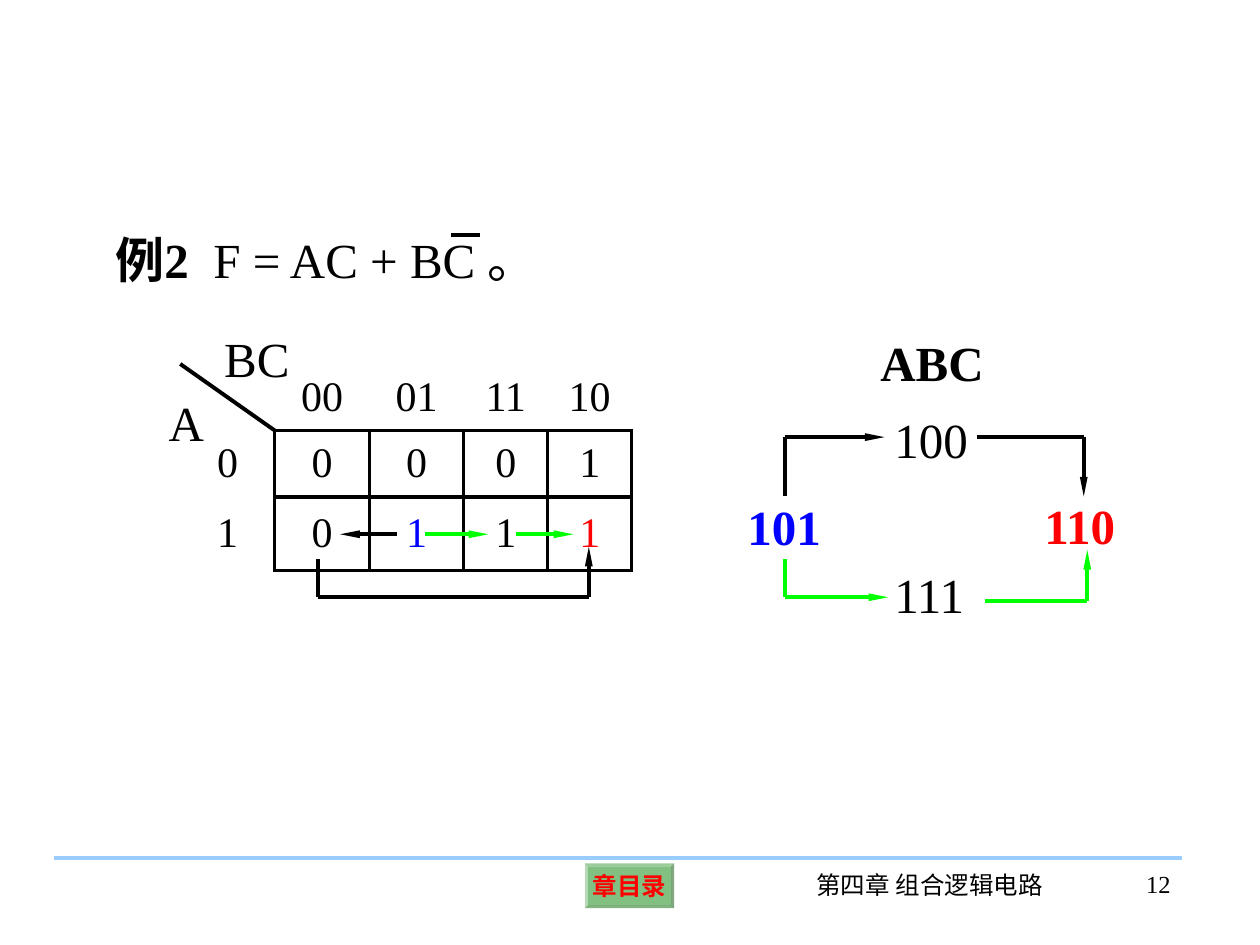
"""Build a slide on hazards in a Karnaugh map, with the paths from 101 to 110."""
from itertools import pairwise

from lxml.etree import SubElement
from pptx import Presentation
from pptx.dml.color import RGBColor as RGB
from pptx.enum.shapes import MSO_CONNECTOR as Link, MSO_SHAPE as Form
from pptx.enum.text import MSO_ANCHOR as Anchor, PP_ALIGN as Align
from pptx.oxml.ns import qn
from pptx.util import Pt

BLACK = RGB(0, 0, 0)
RED = RGB(0xFF, 0, 0)
BLUE = RGB(0, 0, 0xFF)
LIME = RGB(0, 0xFF, 0)
GREEN = RGB(0, 0x80, 0)
SKY = RGB(0x99, 0xCC, 0xFF)
FONT = "Times New Roman"
WIDTH = 2.25

COLS = [54, 54, 54, 48, 48]
ROWS = [38, 38, 42]
MAP = [["", "00", "01", "11", "10"],
       ["0", "0", "0", "0", "1"],
       ["1", "0", "1", "1", "1"]]
TINTS = {(2, 2): BLUE, (2, 4): RED}


def style(run, size, color=BLACK, bold=False):
    """Set the font of a run."""
    font = run.font
    font.name, font.size, font.bold = FONT, Pt(size), bold
    font.color.rgb = color


def label(shapes, box, parts, size=28, color=BLACK, align=Align.LEFT):
    """Add a text box made of (text, bold) parts."""
    frame = shapes.add_textbox(*map(Pt, box)).text_frame
    frame.word_wrap = True
    para = frame.paragraphs[0]
    para.alignment = align
    for text, bold in parts:
        run = para.add_run()
        run.text = text
        style(run, size, color, bold)


def route(shapes, points, color=BLACK, arrow=False):
    """Join points with straight lines, with an arrowhead at the end if asked."""
    for start, end in pairwise(points):
        line = shapes.add_connector(Link.STRAIGHT, *map(Pt, start + end))
        line.line.color.rgb = color
        line.line.width = Pt(WIDTH)
        SubElement(line._element.spPr, qn("a:effectLst"))
    if arrow:
        SubElement(line.line._get_or_add_ln(), qn("a:tailEnd"),
                   type="triangle", w="sm", len="lg")


def edge(cell, sides):
    """Draw the named sides of a cell and clear the others."""
    props = cell._tc.get_or_add_tcPr()
    for side in "LRTB":
        line = SubElement(props, qn(f"a:ln{side}"), w=str(Pt(WIDTH)))
        if side in sides:
            fill = SubElement(line, qn("a:solidFill"))
            SubElement(fill, qn("a:srgbClr"), val=str(BLACK))
        else:
            SubElement(line, qn("a:noFill"))


def grid(shapes, left, top):
    """Add the Karnaugh map as a table, ruled around its values only."""
    table = shapes.add_table(len(ROWS), len(COLS), Pt(left), Pt(top),
                             Pt(sum(COLS)), Pt(sum(ROWS))).table
    table.first_row = table.horz_banding = False
    for col, size in zip(table.columns, COLS):
        col.width = Pt(size)
    for row, size in zip(table.rows, ROWS):
        row.height = Pt(size)
    for i, texts in enumerate(MAP):
        for j, text in enumerate(texts):
            cell = table.cell(i, j)
            edge(cell, "LRTB" if i and j else "R" if i else "B" if j else "")
            cell.fill.background()
            cell.vertical_anchor = Anchor.MIDDLE
            cell.margin_left = cell.margin_right = Pt(1.5)
            cell.margin_top = cell.margin_bottom = Pt(1.5)
            para = cell.text_frame.paragraphs[0]
            para.text = text
            para.alignment = Align.CENTER
            para.font.size = Pt(24)
            for run in para.runs:
                style(run, 24, TINTS.get((i, j), BLACK))


def button(shapes, box, text):
    """Add a bevelled, see-through button."""
    shape = shapes.add_shape(Form.BEVEL, *map(Pt, box))
    shape.shadow.inherit = False
    shape.adjustments[0] = 0.07
    shape.fill.solid()
    shape.fill.fore_color.rgb = GREEN
    tint = shape._element.spPr.find(qn("a:solidFill"))[0]
    SubElement(tint, qn("a:alpha"), val="49000")
    shape.line.fill.background()
    frame = shape.text_frame
    frame.word_wrap = False
    frame.vertical_anchor = Anchor.MIDDLE
    frame.margin_left = frame.margin_right = Pt(3)
    frame.margin_top = frame.margin_bottom = Pt(3)
    para = frame.paragraphs[0]
    para.text = text
    para.alignment = Align.CENTER
    style(para.runs[0], 14, RED, True)


def footer(shapes):
    """Add the rule, the button, the chapter name and the page number."""
    route(shapes, [(31, 490.5), (675.5, 490.5)], SKY)
    button(shapes, (334.3, 493.4, 51, 25.6), "章目录")
    label(shapes, (449.3, 493.9, 164, 36), [("第四章 组合逻辑电路", False)], 14,
          align=Align.CENTER)
    label(shapes, (614, 493.2, 62, 36), [("12", False)], 14, align=Align.RIGHT)


def karnaugh(shapes):
    """Add the formula, the map and the moves between its cells."""
    label(shapes, (59, 127.4, 304, 41),
          [("例2  ", True), ("F = AC + BC 。", False)])
    route(shapes, [(257.8, 134.5), (274.3, 134.5)])
    grid(shapes, 103, 208)
    route(shapes, [(103, 208), (157, 246)])
    label(shapes, (89.3, 221, 32.4, 41), [("A", False)])
    label(shapes, (121, 184, 54, 41), [("BC", False)])
    for start, end, color in [(243, 279, LIME), (295, 327.6, LIME),
                              (227, 194.4, BLACK)]:
        route(shapes, [(start, 305.3), (end, 305.3)], color, True)
    route(shapes, [(181.5, 319.7), (181.5, 341.3), (336.5, 341.3),
                   (336.5, 312.5)], arrow=True)


def paths(shapes):
    """Add the two ways from 101 to 110."""
    for left, top, text, color, bold in [(496, 186.5, "ABC", BLACK, True),
                                         (420, 280, "101", BLUE, True),
                                         (504, 230.5, "100", BLACK, False),
                                         (504, 319, "111", BLACK, False),
                                         (589.7, 279.5, "110", RED, True)]:
        label(shapes, (left, top, 76, 41), [(text, bold)], color=color)
    for points, color in [
            ([(448.5, 283.7), (448.5, 249.8), (505.5, 249.8)], BLACK),
            ([(558, 249.8), (619.3, 249.8), (619.3, 283.7)], BLACK),
            ([(448.5, 319.7), (448.5, 341.3), (507.5, 341.3)], LIME),
            ([(563, 343.2), (621.3, 343.2), (621.3, 314.3)], LIME)]:
        route(shapes, points, color, True)


def main():
    """Build and save the slide."""
    deck = Presentation()
    deck.slide_width, deck.slide_height = Pt(720), Pt(540)
    shapes = deck.slides.add_slide(deck.slide_layouts[6]).shapes
    footer(shapes)
    karnaugh(shapes)
    paths(shapes)
    deck.save("out.pptx")


if __name__ == "__main__":
    main()
